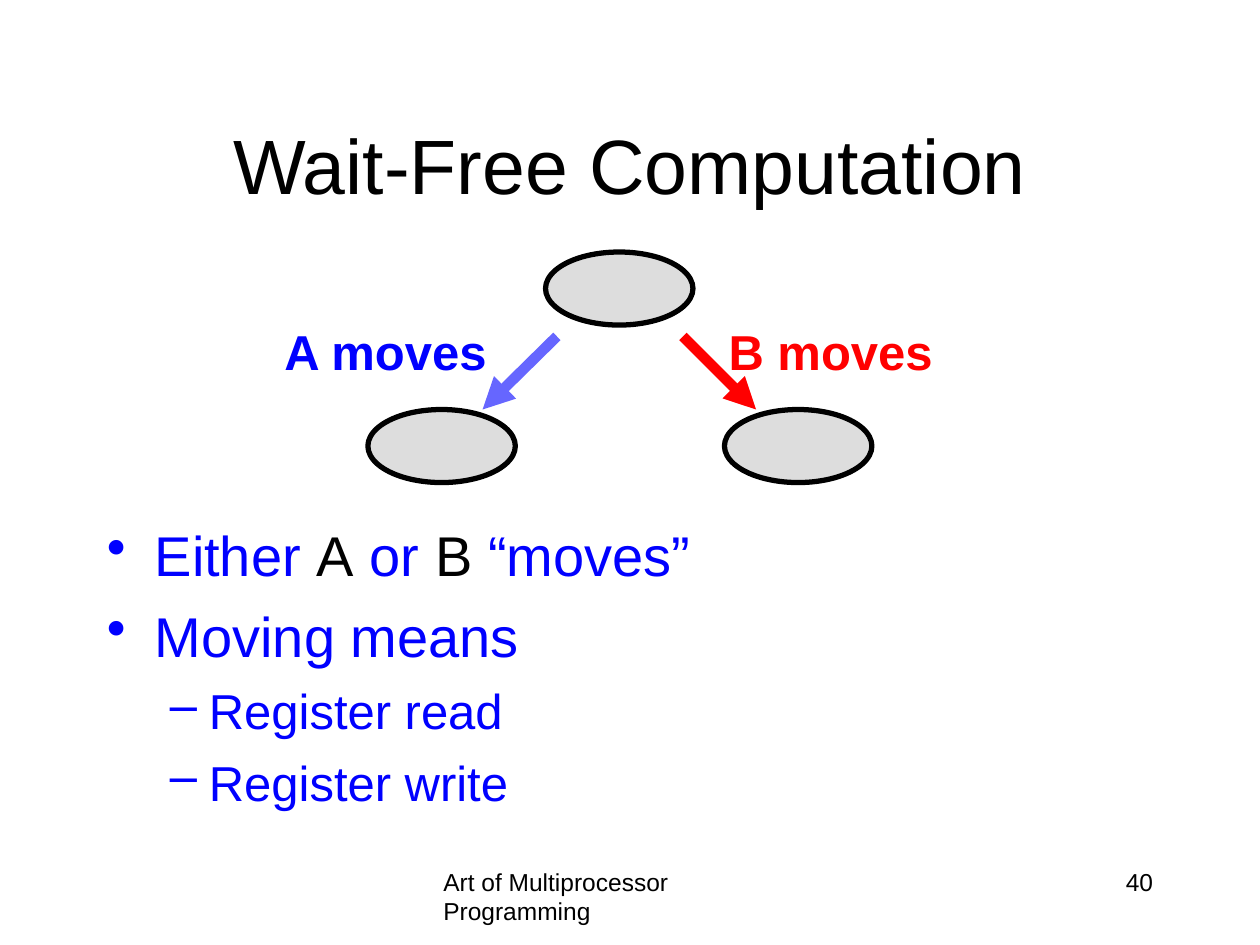
from dataclasses import dataclass

from lxml import etree
from pptx import Presentation
from pptx.dml.color import RGBColor
from pptx.enum.shapes import MSO_CONNECTOR, MSO_SHAPE
from pptx.enum.text import MSO_ANCHOR, PP_ALIGN
from pptx.oxml.ns import qn
from pptx.util import Inches, Pt

LEFT, CENTER, RIGHT = PP_ALIGN.LEFT, PP_ALIGN.CENTER, PP_ALIGN.RIGHT
TOP, MIDDLE = MSO_ANCHOR.TOP, MSO_ANCHOR.MIDDLE
STRAIGHT, ELLIPSE = MSO_CONNECTOR.STRAIGHT, MSO_SHAPE.OVAL

FONT = "Arial"
BLACK, BLUE, RED = "000000", "0000FF", "FF0000"
PALE_BLUE, GRAY = "6666FF", "DDDDDD"
STATE_WIDTH, STATE_HEIGHT = 1.17, 0.58


@dataclass
class Label:
    text: str
    left: float
    top: float
    width: float
    height: float
    size: float
    color: str = BLACK
    align: PP_ALIGN = LEFT
    anchor: MSO_ANCHOR = TOP
    bold: bool = False
    wrap: bool = True


@dataclass
class Arrow:
    start: tuple[float, float]
    end: tuple[float, float]
    color: str


@dataclass
class BulletStyle:
    mark: str
    margin: float
    hanging: float
    size: float
    space_before: float


@dataclass
class Bullet:
    level: int
    spans: list[tuple[str, str]]


LABELS = [
    Label("Art of Multiprocessor Programming", 3.42, 6.83, 3.17, 0.5, 14),
    Label("40", 7.17, 6.83, 2.08, 0.5, 14, align=RIGHT),
    Label("Wait-Free Computation", 0.75, 0.67, 8.5, 1.25, 44,
          align=CENTER, anchor=MIDDLE),
]
MOVE_LABELS = [
    Label("A moves", 2.13, 2.5, 1.83, 0.57, 28, BLUE, RIGHT, bold=True, wrap=False),
    Label("B moves", 5.66, 2.5, 1.84, 0.57, 28, RED, RIGHT, bold=True, wrap=False),
]
STATES = [(4.33, 2), (2.92, 3.25), (5.75, 3.25)]
ARROWS = [
    Arrow((4.42, 2.67), (3.83, 3.25), PALE_BLUE),
    Arrow((5.42, 2.67), (6, 3.25), RED),
]
BULLET_STYLES = [
    BulletStyle("•", 0.38, 0.38, 32, 8),
    BulletStyle("–", 0.81, 0.31, 28, 7),
]
BULLETS = [
    Bullet(0, [("Either ", BLUE), ("A", BLACK), (" or ", BLUE), ("B", BLACK),
               (" “moves”", BLUE)]),
    Bullet(0, [("Moving means", BLUE)]),
    Bullet(1, [("Register read", BLUE)]),
    Bullet(1, [("Register write", BLUE)]),
]


def rgb(value: str) -> RGBColor:
    return RGBColor.from_string(value)


def style_font(font, size: float, color: str, bold: bool = False) -> None:
    font.name = FONT
    font.size = Pt(size)
    font.bold = bold
    font.color.rgb = rgb(color)


def draw_label(page, label: Label) -> None:
    box = page.shapes.add_textbox(Inches(label.left), Inches(label.top),
                                  Inches(label.width), Inches(label.height))
    frame = box.text_frame
    frame.text = label.text
    frame.word_wrap = label.wrap
    frame.vertical_anchor = label.anchor
    para = frame.paragraphs[0]
    para.alignment = label.align
    style_font(para.runs[0].font, label.size, label.color, label.bold)


def draw_state(page, left: float, top: float) -> None:
    state = page.shapes.add_shape(ELLIPSE, Inches(left), Inches(top),
                                  Inches(STATE_WIDTH), Inches(STATE_HEIGHT))
    state.shadow.inherit = False
    state.fill.solid()
    state.fill.fore_color.rgb = rgb(GRAY)
    state.line.color.rgb = rgb(BLACK)
    state.line.width = Pt(3)


def draw_arrow(page, arrow: Arrow) -> None:
    points = [Inches(value) for value in (*arrow.start, *arrow.end)]
    connector = page.shapes.add_connector(STRAIGHT, *points)
    connector.line.color.rgb = rgb(arrow.color)
    connector.line.width = Pt(6)
    properties = connector.line._get_or_add_ln()
    etree.SubElement(properties, qn("a:tailEnd"), type="triangle")
    etree.SubElement(connector._element.spPr, qn("a:effectLst"))


def draw_bullets(page, bullets: list[Bullet]) -> None:
    box = page.shapes.add_textbox(Inches(0.75), Inches(4.08), Inches(8.5), Inches(2.58))
    frame = box.text_frame
    frame.word_wrap = True
    for index, bullet in enumerate(bullets):
        style = BULLET_STYLES[bullet.level]
        para = frame.add_paragraph() if index else frame.paragraphs[0]
        para.level = bullet.level
        para.space_before = Pt(style.space_before if index else 0)
        properties = para._p.get_or_add_pPr()
        properties.set("marL", str(Inches(style.margin)))
        properties.set("indent", str(-Inches(style.hanging)))
        etree.SubElement(properties, qn("a:buChar"), char=style.mark)
        for text, color in bullet.spans:
            span = para.add_run()
            span.text = text
            style_font(span.font, style.size, color)


def main() -> None:
    deck = Presentation()
    deck.slide_width, deck.slide_height = Inches(10), Inches(7.5)
    page = deck.slides.add_slide(deck.slide_layouts[6])

    # Footer, page number and title
    for label in LABELS:
        draw_label(page, label)

    # Explanation
    draw_bullets(page, BULLETS)

    # Tree of states and moves
    for left, top in STATES:
        draw_state(page, left, top)
    for arrow in ARROWS:
        draw_arrow(page, arrow)
    for label in MOVE_LABELS:
        draw_label(page, label)

    deck.save("out.pptx")


if __name__ == "__main__":
    main()
